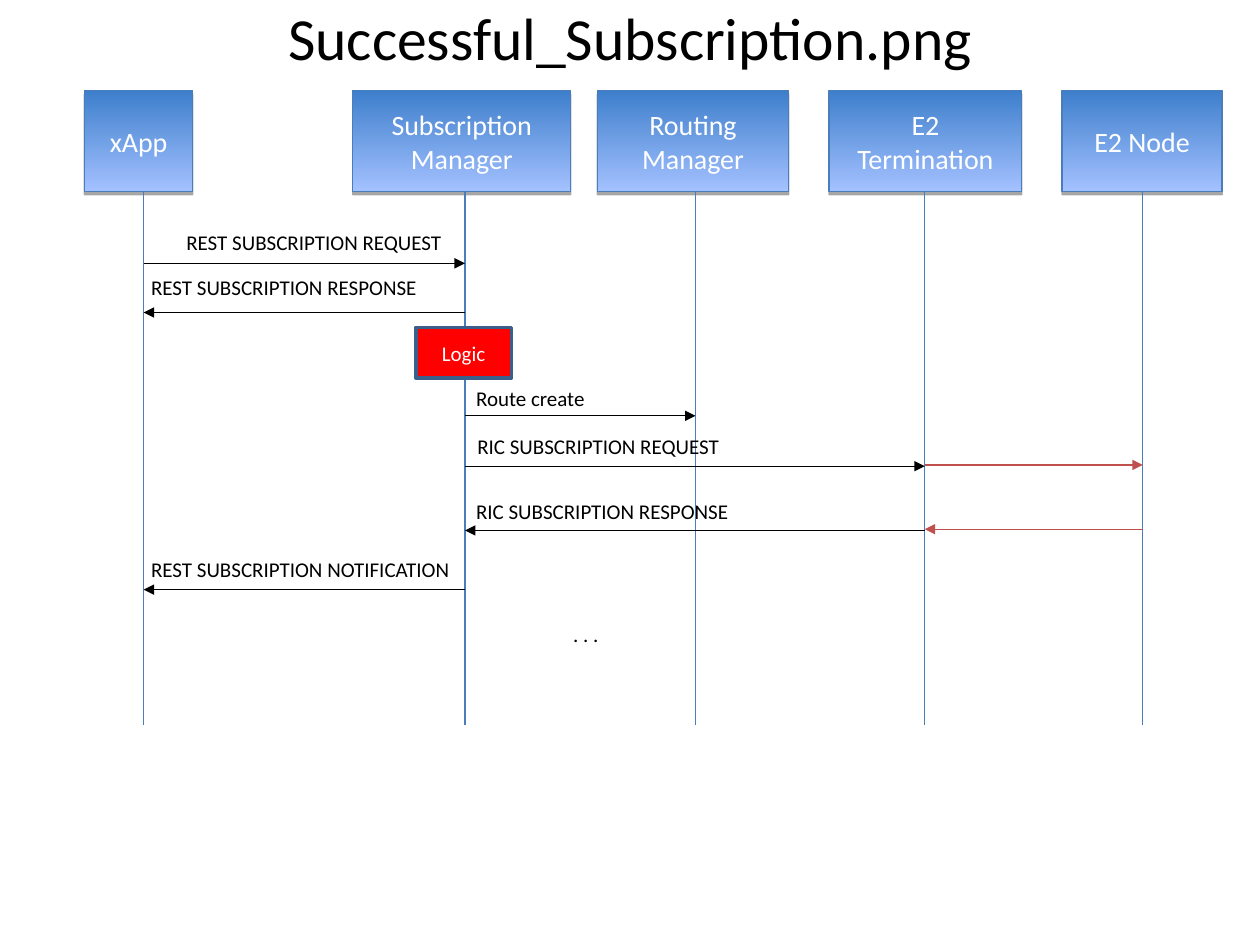
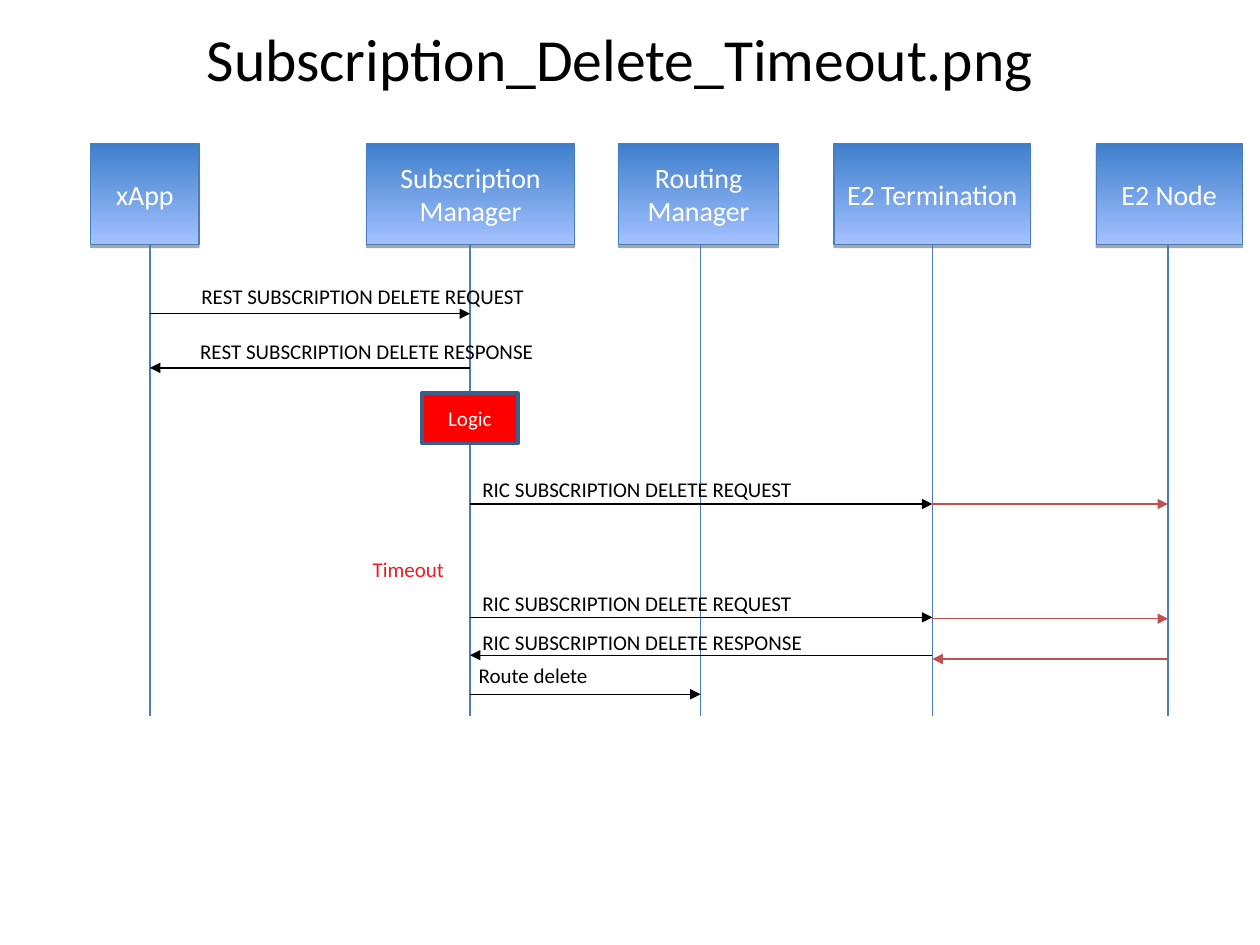
import pptx
import pptx.dml.color
import pptx.enum.shapes
import pptx.enum.text
import pptx.oxml.ns
import pptx.util
from lxml import etree

Inches = pptx.util.Inches
Pt = pptx.util.Pt
qn = pptx.oxml.ns.qn
ALIGN = pptx.enum.text.PP_ALIGN
MIDDLE = pptx.enum.text.MSO_ANCHOR.MIDDLE
RECTANGLE = pptx.enum.shapes.MSO_SHAPE.RECTANGLE
STRAIGHT = pptx.enum.shapes.MSO_CONNECTOR.STRAIGHT

# Shared style
FONT = "Calibri"
BLACK, WHITE = "000000", "FFFFFF"
BLUE, DARK_BLUE = "4A7EBB", "3A5F8B"
GRADIENT = ("3E7FCC", "A4C1FF")
RED, NODE_RED, TIMEOUT_RED = "FF0000", "C0504D", "ED1C24"
HEAD_HEIGHT = 0.8
LABEL_HEIGHT = 0.3

# Participants
XAPP, SUBMGR, RTMGR, E2T, NODE = (
    "xApp", "Subscription Manager", "Routing\nManager", "E2 Termination", "E2 Node")

SUCCESS = {
    "title": ("Successful_Subscription.png", 0.5, 0.05),
    "head_top": 0.72,
    "lifeline_end": 5.75,
    # participant: left, width, lifeline x
    "participants": {
        XAPP: (0.67, 0.86, 1.14), SUBMGR: (2.8, 1.73, 3.69),
        RTMGR: (4.74, 1.52, 5.52), E2T: (6.58, 1.53, 7.34),
        NODE: (8.43, 1.27, 9.07)},
    "logic": (3.3, 2.6),
    # sender, receiver, y
    "messages": [
        (XAPP, SUBMGR, 2.09), (SUBMGR, XAPP, 2.48), (SUBMGR, RTMGR, 3.3),
        (SUBMGR, E2T, 3.7), (E2T, NODE, 3.69), (E2T, SUBMGR, 4.21),
        (NODE, E2T, 4.2), (SUBMGR, XAPP, 4.68)],
    # text, left, top, width, colour
    "labels": [
        ("REST SUBSCRIPTION REQUEST", 1.38, 1.77, 2.35, BLACK),
        ("REST SUBSCRIPTION RESPONSE", 1.1, 2.13, 2.91, BLACK),
        ("Route create", 3.68, 3.01, 1.48, BLACK),
        ("RIC SUBSCRIPTION REQUEST", 3.69, 3.39, 2.63, BLACK),
        ("RIC SUBSCRIPTION RESPONSE", 3.68, 3.91, 2.74, BLACK),
        ("REST SUBSCRIPTION NOTIFICATION", 1.1, 4.37, 3.15, BLACK),
        (". . .", 4.45, 4.88, 0.55, BLACK)],
}

DELETE_TIMEOUT = {
    "title": ("Subscription_Delete_Timeout.png", 0.42, 0.22),
    "head_top": 1.14,
    "lifeline_end": 5.68,
    "participants": {
        XAPP: (0.72, 0.86, 1.19), SUBMGR: (2.91, 1.65, 3.73),
        RTMGR: (4.91, 1.27, 5.56), E2T: (6.62, 1.56, 7.4),
        NODE: (8.7, 1.16, 9.27)},
    "logic": (3.35, 3.12),
    "messages": [
        (XAPP, SUBMGR, 2.49), (SUBMGR, XAPP, 2.92), (SUBMGR, E2T, 4),
        (E2T, NODE, 4), (SUBMGR, E2T, 4.9), (E2T, NODE, 4.91),
        (E2T, SUBMGR, 5.2), (NODE, E2T, 5.23), (SUBMGR, RTMGR, 5.51)],
    "labels": [
        ("REST SUBSCRIPTION DELETE REQUEST", 1.5, 2.2, 2.9, BLACK),
        ("REST SUBSCRIPTION DELETE RESPONSE", 1.49, 2.64, 3, BLACK),
        ("RIC SUBSCRIPTION DELETE REQUEST", 3.73, 3.73, 3.36, BLACK),
        ("Timeout", 2.86, 4.37, 0.96, TIMEOUT_RED),
        ("RIC SUBSCRIPTION DELETE REQUEST", 3.73, 4.64, 3.36, BLACK),
        ("RIC SUBSCRIPTION DELETE RESPONSE", 3.73, 4.95, 3.44, BLACK),
        ("Route delete", 3.7, 5.21, 1.38, BLACK)],
}


def set_color(color_format, hex_color):
    color_format.rgb = pptx.dml.color.RGBColor.from_string(hex_color)


def write(frame, text, size, hex_color, align):
    for number, line in enumerate(text.split("\n")):
        paragraph = frame.add_paragraph() if number else frame.paragraphs[0]
        paragraph.text = line
        paragraph.alignment = align
        paragraph.font.name = FONT
        paragraph.font.size = Pt(size)
        set_color(paragraph.font.color, hex_color)


def add_text(slide, text, left, top, width, height, size, hex_color=BLACK,
             align=ALIGN.LEFT):
    frame = slide.shapes.add_textbox(
        Inches(left), Inches(top), Inches(width), Inches(height)).text_frame
    frame.word_wrap = True
    write(frame, text, size, hex_color, align)
    return frame


def add_title(slide, text, left, top):
    frame = add_text(slide, text, left, top, 9, 0.58, 34.1, align=ALIGN.CENTER)
    frame.vertical_anchor = MIDDLE
    frame.paragraphs[0].line_spacing = 0.8


def add_box(slide, text, left, top, width, height, size, outline, weight):
    box = slide.shapes.add_shape(
        RECTANGLE, Inches(left), Inches(top), Inches(width), Inches(height))
    box.shadow.inherit = False
    set_color(box.line.color, outline)
    box.line.width = Pt(weight)
    box.text_frame.vertical_anchor = MIDDLE
    write(box.text_frame, text, size, WHITE, ALIGN.CENTER)
    return box


def add_participant(slide, name, left, top, width):
    head = add_box(slide, name, left, top, width, HEAD_HEIGHT, 16, BLUE, 0.75)
    head.fill.gradient()
    head.fill.gradient_angle = 270
    for position, (stop, shade) in enumerate(zip(head.fill.gradient_stops, GRADIENT)):
        stop.position = position
        set_color(stop.color, shade)
    # Shadow straight below the box
    effects = head._element.spPr.find(qn("a:effectLst"))
    shadow = etree.SubElement(effects, qn("a:outerShdw"), blurRad="0",
                              dist=str(Pt(1.8)), dir="5400000", rotWithShape="0")
    shade = etree.SubElement(shadow, qn("a:srgbClr"), val=BLACK)
    etree.SubElement(shade, qn("a:alpha"), val="35000")


def add_logic(slide, left, top):
    logic = add_box(slide, "Logic", left, top, 0.76, 0.4, 12, DARK_BLUE, 2)
    logic.fill.solid()
    set_color(logic.fill.fore_color, RED)


def add_line(slide, start, end, hex_color, arrow=False):
    line = slide.shapes.add_connector(
        STRAIGHT, *(Inches(value) for value in (*start, *end)))
    set_color(line.line.color, hex_color)
    line.line.width = Pt(0.75)
    properties = line._element.spPr
    if arrow:
        etree.SubElement(properties.find(qn("a:ln")), qn("a:tailEnd"), type="triangle")
    etree.SubElement(properties, qn("a:effectLst"))


def add_sequence(deck, content):
    slide = deck.slides.add_slide(deck.slide_layouts[6])
    add_title(slide, *content["title"])

    # Participants and their lifelines
    top = content["head_top"]
    participants = content["participants"]
    for name, (left, width, x) in participants.items():
        add_participant(slide, name, left, top, width)
        add_line(slide, (x, top + HEAD_HEIGHT), (x, content["lifeline_end"]), BLUE)
    add_logic(slide, *content["logic"])

    # Messages; traffic with the E2 node is red
    for sender, receiver, y in content["messages"]:
        color = NODE_RED if NODE in (sender, receiver) else BLACK
        add_line(slide, (participants[sender][2], y),
                 (participants[receiver][2], y), color, arrow=True)
    for text, left, label_top, width, color in content["labels"]:
        add_text(slide, text, left, label_top, width, LABEL_HEIGHT, 12, color)


def main():
    deck = pptx.Presentation()
    deck.slide_width, deck.slide_height = Inches(10), Inches(7.5)
    for content in (SUCCESS, DELETE_TIMEOUT):
        add_sequence(deck, content)
    deck.save("out.pptx")


if __name__ == "__main__":
    main()
